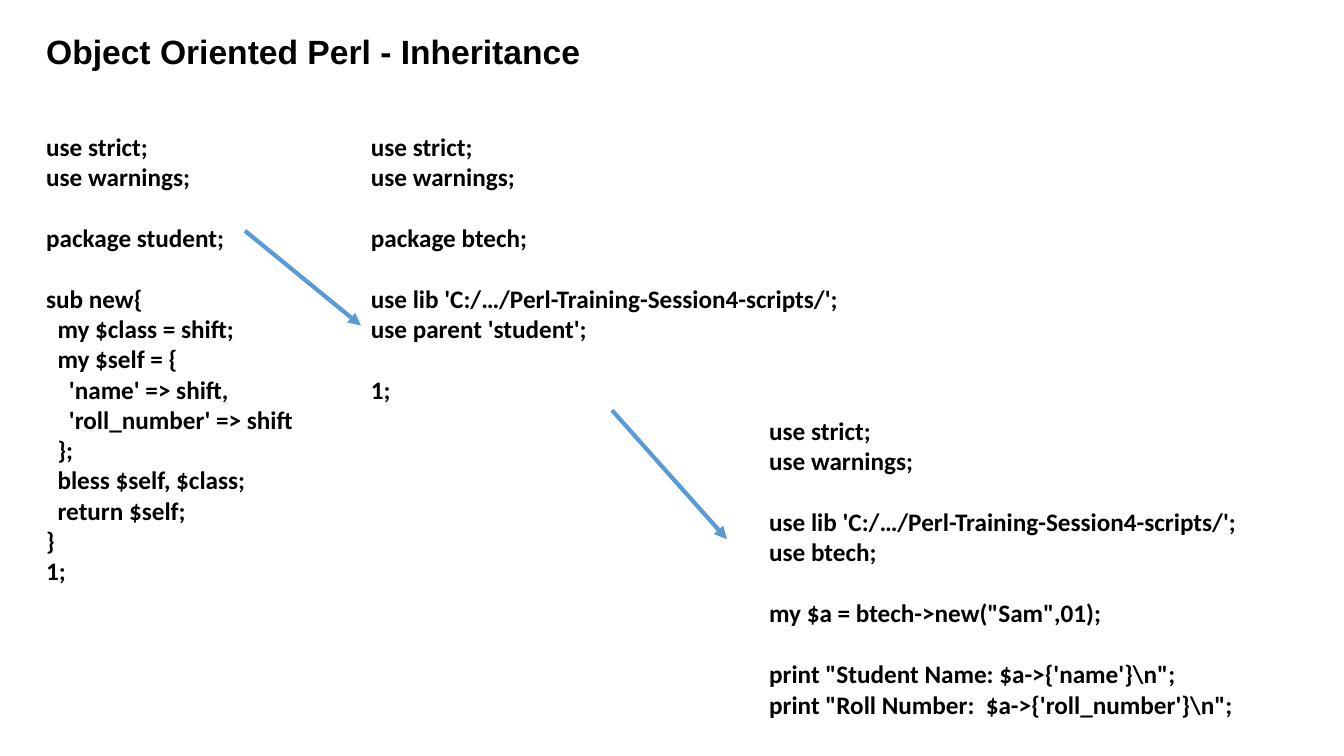
from lxml.etree import SubElement
from pptx import Presentation
from pptx.dml.color import RGBColor
from pptx.enum.shapes import MSO_CONNECTOR
from pptx.enum.text import MSO_AUTO_SIZE
from pptx.oxml.ns import qn
from pptx.util import Inches, Pt

BLACK = RGBColor(0x00, 0x00, 0x00)
BLUE = RGBColor(0x5B, 0x9B, 0xD5)

TITLE = "Object Oriented Perl - Inheritance"

PARENT = """use strict;
use warnings;

package student;

sub new{
  my $class = shift;
  my $self = {
    'name' => shift,
    'roll_number' => shift
  };
  bless $self, $class;
  return $self;
}
1;"""

CHILD = """use strict;
use warnings;

package btech;

use lib 'C:/…/Perl-Training-Session4-scripts/';
use parent 'student';

1;"""

CALLER = r"""use strict;
use warnings;

use lib 'C:/…/Perl-Training-Session4-scripts/';
use btech;

my $a = btech->new("Sam",01);

print "Student Name: $a->{'name'}\n";
print "Roll Number:  $a->{'roll_number'}\n";"""

HEAD = {"name": "Arial", "size": Pt(24), "bold": True}
CODE = {"name": "Calibri", "size": Pt(18), "bold": True}
GAP = Pt(22)  # one line of code

# text, format, (left, top, width, height)
TEXTS = [
    (TITLE, HEAD, (0.36, 0.26, 7.17, 0.5)),
    (PARENT, CODE, (0.36, 1.25, 3.61, 4.64)),
    (CHILD, CODE, (3.58, 1.25, 4.98, 2.83)),
    (CALLER, CODE, (7.53, 4.07, 5.38, 3.13)),
]

# from x, from y, to x, to y
ARROWS = [(6.07, 4.07, 7.21, 5.35), (2.43, 2.29, 3.58, 3.23)]


def add_text(slide, text, style, box):
    """Add a text box; each blank line in the text becomes space before."""
    frame = slide.shapes.add_textbox(*map(Inches, box)).text_frame
    frame.word_wrap = True
    frame.auto_size = MSO_AUTO_SIZE.SHAPE_TO_FIT_TEXT
    para = frame.paragraphs[0]
    for i, block in enumerate(text.split("\n\n")):
        for j, line in enumerate(block.split("\n")):
            if i or j:
                para = frame.add_paragraph()
            if i and not j:
                para.space_before = GAP
            run = para.add_run()
            run.text = line
            run.font.color.rgb = BLACK
            for key, value in style.items():
                setattr(run.font, key, value)


def add_arrow(slide, ends):
    arrow = slide.shapes.add_connector(MSO_CONNECTOR.STRAIGHT, *map(Inches, ends))
    arrow.line.color.rgb = BLUE
    arrow.line.width = Pt(3)
    SubElement(arrow.line._get_or_add_ln(), qn("a:tailEnd"), type="triangle")
    SubElement(arrow._element.spPr, qn("a:effectLst"))


def main():
    deck = Presentation()
    deck.slide_width, deck.slide_height = Inches(13.33), Inches(7.5)
    slide = deck.slides.add_slide(deck.slide_layouts[6])
    for text, style, box in TEXTS:
        add_text(slide, text, style, box)
    for ends in ARROWS:
        add_arrow(slide, ends)
    deck.save("out.pptx")


if __name__ == "__main__":
    main()
